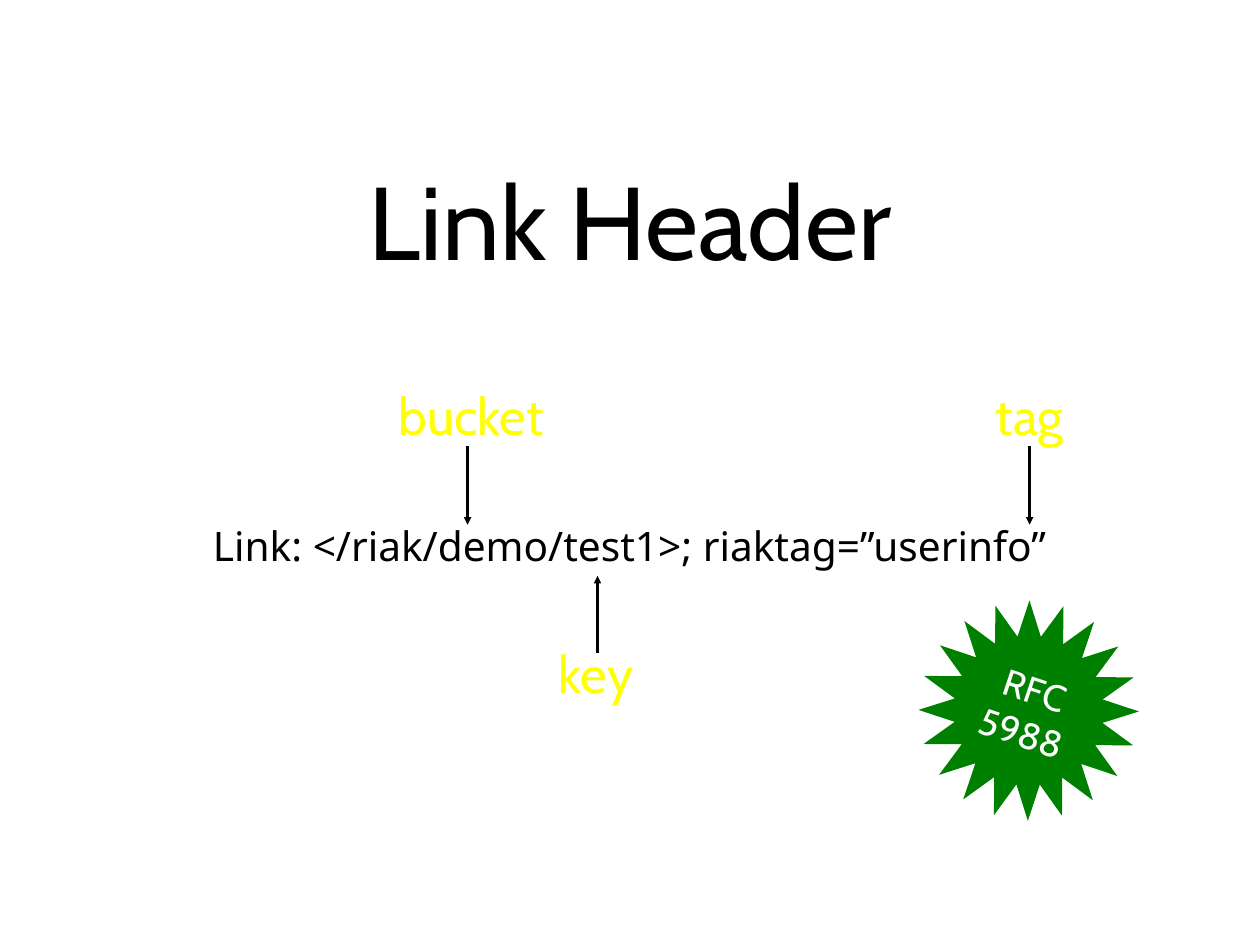
import math

import pptx
import pptx.dml.color
import pptx.enum.shapes
import pptx.enum.text
import pptx.util
from lxml import etree
from pptx.oxml.ns import qn

PX = 10160  # EMU per px, 90 px to the inch
BLACK, YELLOW, GREEN, WHITE = "000000", "FFFF00", "008000", "FFFFFF"


def color(value):
    return pptx.dml.color.RGBColor.from_string(value)


def write(shape, text, size, font, text_color, wrap=True):
    frame = shape.text_frame
    frame.word_wrap = wrap
    frame.margin_left = frame.margin_right = 0
    frame.margin_top = frame.margin_bottom = 0
    frame.vertical_anchor = pptx.enum.text.MSO_ANCHOR.MIDDLE
    frame.text = text
    paragraph = frame.paragraphs[0]
    paragraph.alignment = pptx.enum.text.PP_ALIGN.CENTER
    paragraph.font.size = pptx.util.Pt(size)
    paragraph.font.name = font
    paragraph.font.color.rgb = color(text_color)


presentation = pptx.Presentation()
presentation.slide_width = 1280 * PX
presentation.slide_height = 960 * PX
slide = presentation.slides.add_slide(presentation.slide_layouts[6])
slide.background.fill.solid()
slide.background.fill.fore_color.rgb = color(WHITE)

# Title and header line
title = slide.shapes.add_textbox(125 * PX, 103 * PX, 1030 * PX, 240 * PX)
write(title, "Link Header", 84, "Cabin", BLACK)
header = slide.shapes.add_textbox(77 * PX, 273 * PX, 1125 * PX, 562 * PX)
write(header, "Link: </riak/demo/test1>; riaktag=”userinfo”", 33, "Noto Sans", BLACK)

# Labels with arrows: text, left, top, width, arrow x, arrow start, arrow end
label_height = 63
labels = [
    ("bucket", 395, 390, 167, 475, 453, 533),
    ("key", 563, 652, 85, 607, 663, 585),
    ("tag", 1005, 390, 82, 1046, 453, 533),
]
for text, left, top, width, x, start, end in labels:
    label = slide.shapes.add_textbox(left * PX, top * PX, width * PX, label_height * PX)
    write(label, text, 42, "Cabin", YELLOW, wrap=False)
    arrow = slide.shapes.add_connector(
        pptx.enum.shapes.MSO_CONNECTOR.STRAIGHT, x * PX, start * PX, x * PX, end * PX)
    if (x, start) == (left + width // 2, top + label_height):
        arrow.begin_connect(label, 2)
    arrow.line.width = pptx.util.Pt(2)
    arrow.line.color.rgb = color(BLACK)
    etree.SubElement(arrow.line._get_or_add_ln(), qn("a:tailEnd"), type="triangle")
    etree.SubElement(arrow._element.spPr, qn("a:effectLst"))

# Starburst badge
center_x, center_y = 1045, 722
outer_radius, inner_radius = 112, 76
spikes = 20
points = []
for step in range(2 * spikes):
    radius = inner_radius if step % 2 else outer_radius
    angle = math.pi * step / spikes
    points.append((round((center_x + radius * math.sin(angle)) * PX),
                   round((center_y - radius * math.cos(angle)) * PX)))
builder = slide.shapes.build_freeform(*points[0])
builder.add_line_segments(points[1:], close=True)
badge = builder.convert_to_shape()
badge.rotation = 18.4
badge.shadow.inherit = False
badge.fill.solid()
badge.fill.fore_color.rgb = color(GREEN)
badge.line.fill.background()
write(badge, "RFC\v5988", 30, "Cabin", WHITE)

presentation.save("out.pptx")
